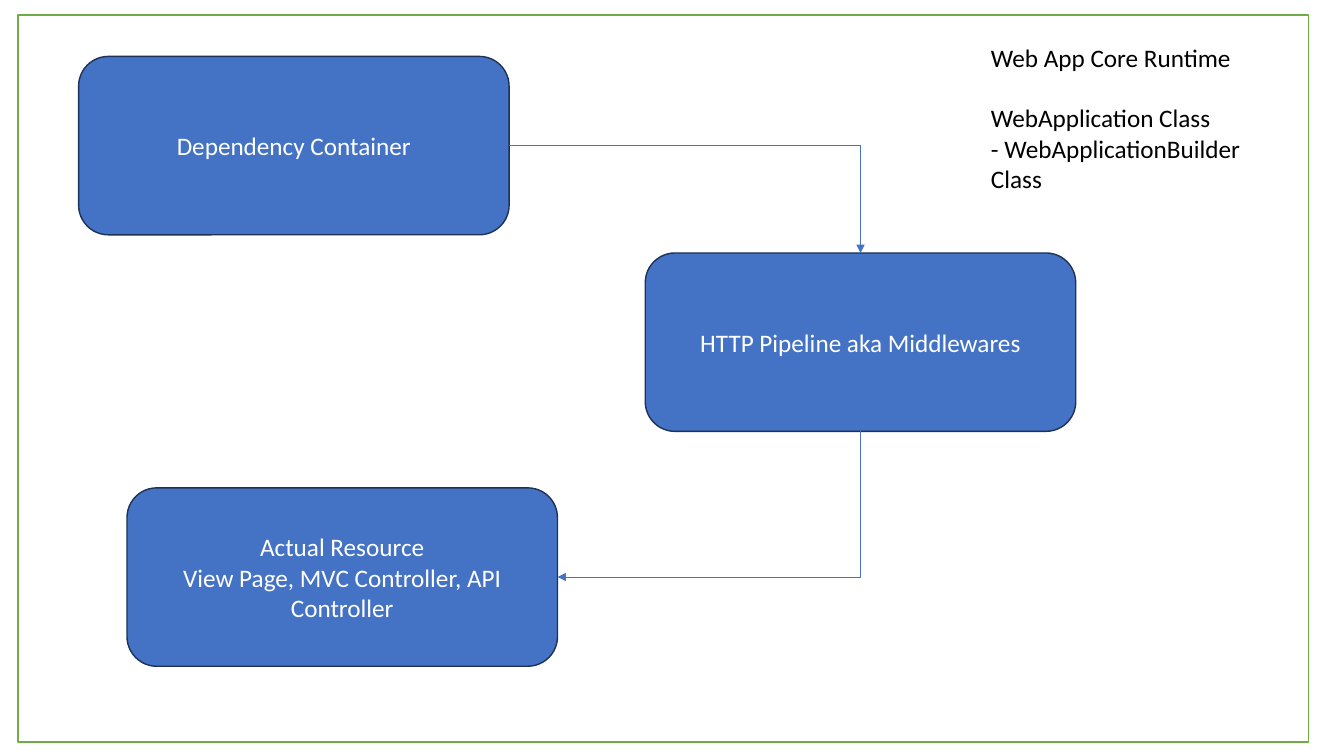
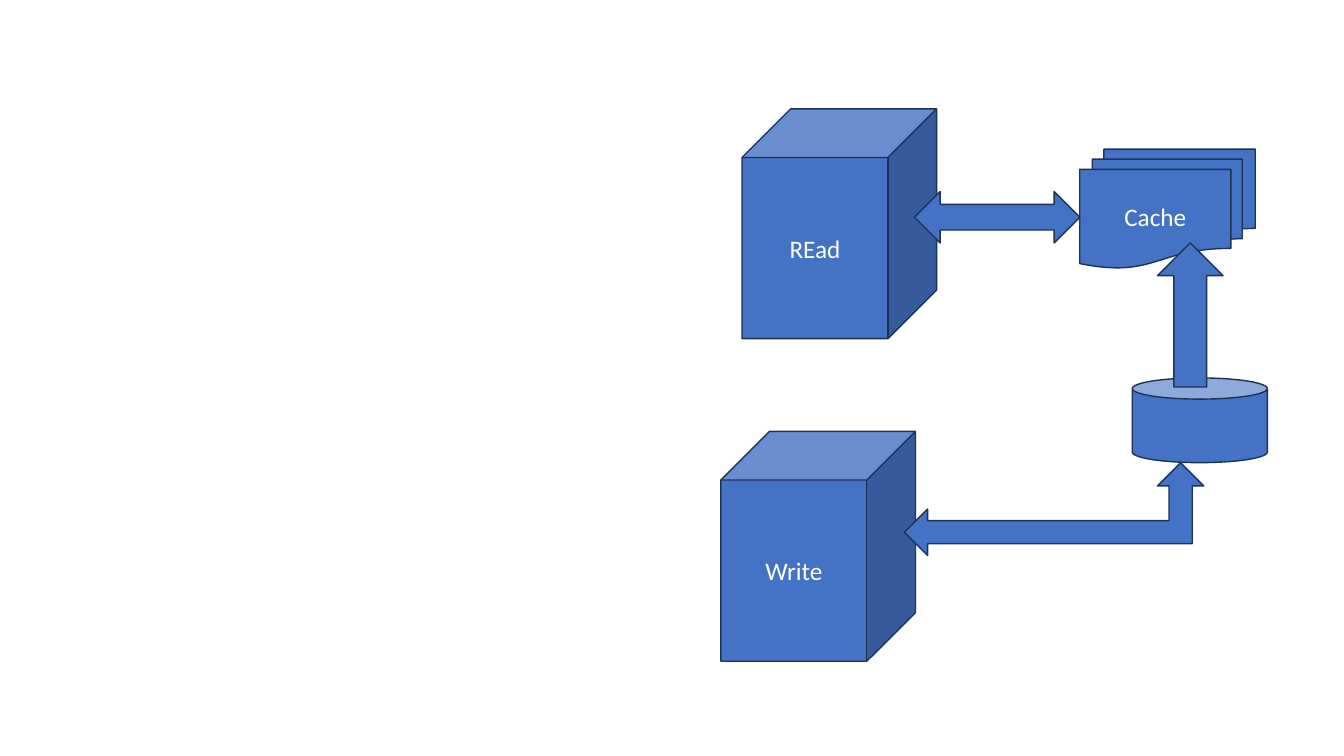
import pptx
import pptx.dml.color
import pptx.enum.shapes
import pptx.enum.text
import pptx.oxml
import pptx.oxml.ns
import pptx.util

Inches = pptx.util.Inches
Pt = pptx.util.Pt
SHAPE = pptx.enum.shapes.MSO_SHAPE
ALIGN = pptx.enum.text.PP_ALIGN
ANCHOR = pptx.enum.text.MSO_ANCHOR

FONT, TEXT_SIZE = "Calibri", 18
BLUE, NAVY, GREEN = "4472C4", "1E3256", "70AD47"
WHITE, BLACK = "FFFFFF", "000000"
TOP, BOTTOM, RIGHT = 0, 2, 3

FRAME = (0.18, 0.15, 12.8, 7.21)
STAGE_SIZE = (4.27, 1.77)
STAGES = {
    "container": (0.78, 0.56, "Dependency Container"),
    "pipeline": (6.4, 2.51, "HTTP Pipeline aka Middlewares"),
    "resource": (1.26, 4.84,
                 "Actual Resource\nView Page, MVC Controller, API Controller"),
}
# start stage, start side, end stage, end side, quarter turns of the bend
LINKS = [
    ("container", RIGHT, "pipeline", TOP, 0),
    ("pipeline", BOTTOM, "resource", RIGHT, 1),
]
NOTE_BOX = (9.73, 0.37, 3.06, 1.62)
NOTE_LINES = ["Web App Core Runtime", "WebApplication Class",
              "- WebApplicationBuilder Class"]
NOTE_GAP = 21.6

CUBE_SIZE = (1.93, 2.28)
CACHE_PARTS = [
    (SHAPE.CUBE, (7.36, 1.08, *CUBE_SIZE), "REad"),
    (SHAPE.CUBE, (7.15, 4.28, *CUBE_SIZE), "Write"),
    (SHAPE.CAN, (11.23, 3.75, 1.34, 0.84), ""),
    (SHAPE.FLOWCHART_MULTIDOCUMENT, (10.71, 1.48, 1.74, 1.18), "Cache"),
    (SHAPE.UP_ARROW, (11.48, 2.41, 0.65, 1.43), ""),
    (SHAPE.LEFT_RIGHT_ARROW, (9.07, 1.9, 1.64, 0.51), ""),
    (SHAPE.LEFT_UP_ARROW, (8.97, 4.59, 2.97, 0.92), ""),
]


def rgb(value):
    return pptx.dml.color.RGBColor.from_string(value)


def write_text(shape, text, color, alignment, anchor):
    frame = shape.text_frame
    frame.text = text
    frame.word_wrap = True
    frame.vertical_anchor = anchor
    for paragraph in frame.paragraphs:
        paragraph.alignment = alignment
        for run in paragraph.runs:
            run.font.name = FONT
            run.font.size = Pt(TEXT_SIZE)
            run.font.color.rgb = rgb(color)


def add_block(slide, kind, box, text="", fill=BLUE, line=NAVY):
    shape = slide.shapes.add_shape(kind, *map(Inches, box))
    shape.shadow.inherit = False
    shape.fill.solid()
    shape.fill.fore_color.rgb = rgb(fill)
    shape.line.color.rgb = rgb(line)
    shape.line.width = Pt(1)
    if text:
        write_text(shape, text, WHITE, ALIGN.CENTER, ANCHOR.MIDDLE)
    return shape


def add_bent_arrow(slide, start, start_side, end, end_side, quarter_turns):
    """Join two shapes by an arrow with a single right-angled bend."""
    connector = slide.shapes.add_connector(
        pptx.enum.shapes.MSO_CONNECTOR.ELBOW, 0, 0, 0, 0)
    connector.begin_connect(start, start_side)
    connector.end_connect(end, end_side)
    across = abs(connector.end_x - connector.begin_x)
    down = abs(connector.end_y - connector.begin_y)
    center_x = (connector.begin_x + connector.end_x) // 2
    center_y = (connector.begin_y + connector.end_y) // 2
    width, height = (down, across) if quarter_turns else (across, down)
    connector.left, connector.top = center_x - width // 2, center_y - height // 2
    connector.width, connector.height = width, height
    connector.line.color.rgb = rgb(BLUE)
    connector.line.width = Pt(0.5)

    qn = pptx.oxml.ns.qn
    properties = connector.element.spPr
    transform = properties.find(qn("a:xfrm"))
    for flip in ("flipH", "flipV"):
        transform.attrib.pop(flip, None)
    transform.set("rot", str(quarter_turns * 90 * 60000))
    properties.find(qn("a:prstGeom")).set("prst", "bentConnector2")
    namespace = pptx.oxml.ns.nsdecls("a")
    properties.find(qn("a:ln")).append(
        pptx.oxml.parse_xml(f'<a:tailEnd {namespace} type="triangle"/>'))
    properties.append(pptx.oxml.parse_xml(f"<a:effectLst {namespace}/>"))


def build_request_slide(slide):
    add_block(slide, SHAPE.RECTANGLE, FRAME, fill=WHITE, line=GREEN)
    stages = {
        name: add_block(slide, SHAPE.ROUNDED_RECTANGLE,
                        (left, top, *STAGE_SIZE), text)
        for name, (left, top, text) in STAGES.items()
    }
    note = slide.shapes.add_textbox(*map(Inches, NOTE_BOX))
    write_text(note, "\n".join(NOTE_LINES), BLACK, ALIGN.LEFT, ANCHOR.TOP)
    note.text_frame.paragraphs[1].space_before = Pt(NOTE_GAP)
    for start, start_side, end, end_side, quarter_turns in LINKS:
        add_bent_arrow(slide, stages[start], start_side,
                       stages[end], end_side, quarter_turns)


def build_cache_slide(slide):
    for kind, box, text in CACHE_PARTS:
        add_block(slide, kind, box, text)


def main():
    presentation = pptx.Presentation()
    presentation.slide_width = Inches(13.33)
    presentation.slide_height = Inches(7.5)
    blank_layout = presentation.slide_layouts[6]
    for build in (build_request_slide, build_cache_slide):
        build(presentation.slides.add_slide(blank_layout))
    presentation.save("out.pptx")


if __name__ == "__main__":
    main()
